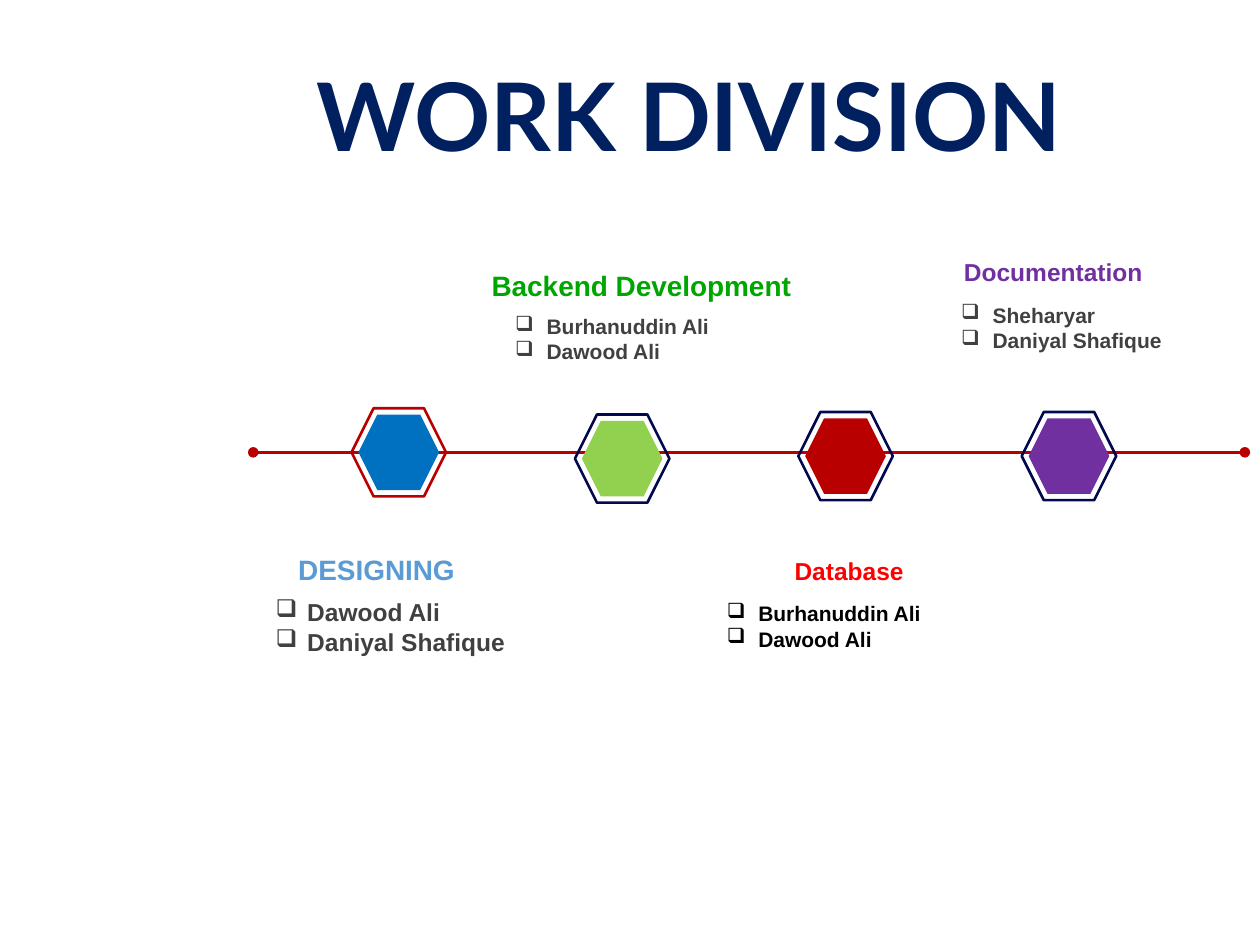
from lxml.etree import SubElement
from pptx import Presentation
from pptx.dml.color import RGBColor
from pptx.enum.shapes import MSO_CONNECTOR as Connector, MSO_SHAPE as Shape
from pptx.enum.text import MSO_ANCHOR as Anchor, PP_ALIGN as Align
from pptx.oxml.ns import qn
from pptx.util import Inches, Pt

COLUMNS, ROWS = 100, 75
WIDTH, HEIGHT = Inches(10), Inches(7.5)

NAVY = RGBColor(0x00, 0x20, 0x60)
MIDNIGHT = RGBColor(0x01, 0x0A, 0x4F)
CRIMSON = RGBColor(0xB9, 0x00, 0x00)
BLUE = RGBColor(0x00, 0x70, 0xC0)
LIGHT_BLUE = RGBColor(0x5A, 0x9B, 0xD5)
LIME = RGBColor(0x92, 0xD0, 0x50)
GREEN = RGBColor(0x00, 0xA6, 0x00)
RED = RGBColor(0xFF, 0x00, 0x00)
PURPLE = RGBColor(0x70, 0x30, 0xA0)
GREY = RGBColor(0x40, 0x40, 0x40)
BLACK = RGBColor(0x00, 0x00, 0x00)

FIRST_CENTER, CENTER_STEP = 31.65, 17.73
RING_SIZE, CORE_SIZE = (7.5, 7), (6.4, 6)

# Centre row, core colour, ring colour
MILESTONES = [
    (35.9, BLUE, CRIMSON),
    (36.4, LIME, MIDNIGHT),
    (36.2, CRIMSON, MIDNIGHT),
    (36.2, PURPLE, MIDNIGHT),
]

# Heading, its box, size and colour; members, their left and top, size and colour
TEAMS = [
    ("DESIGNING ", (19.4, 43.3, 21.6, 3.7), 16, LIGHT_BLUE,
     ["Dawood Ali", "Daniyal Shafique "], (20.9, 46.9), 14, GREY),
    ("Backend Development ", (37.9, 20.8, 26, 3.7), 16, GREEN,
     ["Burhanuddin Ali ", "Dawood Ali"], (39.9, 24.4), 12, GREY),
    ("Database", (56.6, 43.6, 21.6, 3.4), 14, RED,
     ["Burhanuddin Ali", "Dawood Ali"], (56.7, 47.2), 12, BLACK),
    ("Documentation", (72.8, 19.9, 21.6, 3.4), 14, PURPLE,
     ["Sheharyar ", "Daniyal Shafique"], (75.3, 23.5), 12, GREY),
]


def across(columns):
    """Turn grid columns into a length."""
    return round(WIDTH * columns / COLUMNS)


def down(rows):
    """Turn grid rows into a length."""
    return round(HEIGHT * rows / ROWS)


def place(left, top, width, height):
    """Turn a box on the grid into lengths."""
    return across(left), down(top), across(width), down(height)


def add_bullet(paragraph):
    """Give a paragraph a hanging box bullet."""
    properties = paragraph._p.get_or_add_pPr()
    properties.set("marL", str(Inches(0.25)))
    properties.set("indent", str(-Inches(0.25)))
    SubElement(properties, qn("a:buChar")).set("char", "\u2751")


def add_text(slide, lines, box, *, size, color, font="Arial", align=Align.LEFT,
             anchor=Anchor.TOP, bullets=False, line_spacing=None):
    """Add a bold text box with one paragraph per line."""
    frame = slide.shapes.add_textbox(*place(*box)).text_frame
    frame.word_wrap = True
    frame.vertical_anchor = anchor
    for index, line in enumerate(lines):
        paragraph = frame.add_paragraph() if index else frame.paragraphs[0]
        paragraph.alignment = align
        if line_spacing:
            paragraph.line_spacing = line_spacing
        if bullets:
            add_bullet(paragraph)
        run = paragraph.add_run()
        run.text = line
        run.font.name = font
        run.font.size = Pt(size)
        run.font.bold = True
        run.font.color.rgb = color


def add_timeline(slide, start, end, row):
    """Add the horizontal line with a dot at each end."""
    line = slide.shapes.add_connector(
        Connector.STRAIGHT, across(start), down(row), across(end), down(row))
    line.line.color.rgb = CRIMSON
    line.line.width = Pt(2)
    outline = line.line._get_or_add_ln()
    for tag in ("a:headEnd", "a:tailEnd"):
        SubElement(outline, qn(tag)).set("type", "oval")
    SubElement(line._element.spPr, qn("a:effectLst"))


def add_hexagon(group, center, size, *, fill=None, outline=None):
    """Add a hexagon around a centre, filled or outlined."""
    (column, row), (width, height) = center, size
    hexagon = group.shapes.add_shape(
        Shape.HEXAGON, *place(column - width / 2, row - height / 2, width, height))
    hexagon.shadow.inherit = False
    if fill is None:
        hexagon.fill.background()
    else:
        hexagon.fill.solid()
        hexagon.fill.fore_color.rgb = fill
    if outline is None:
        hexagon.line.fill.background()
    else:
        hexagon.line.color.rgb = outline
        hexagon.line.width = Pt(1.5)


def add_milestone(slide, center, core_color, ring_color):
    """Add a filled hexagon grouped with its ring."""
    group = slide.shapes.add_group_shape()
    add_hexagon(group, center, CORE_SIZE, fill=core_color)
    add_hexagon(group, center, RING_SIZE, outline=ring_color)


def add_team(slide, heading, heading_box, heading_size, heading_color,
             members, corner, member_size, member_color):
    """Add a team's heading and its bulleted members."""
    add_text(slide, [heading], heading_box, size=heading_size,
             color=heading_color, align=Align.CENTER, anchor=Anchor.MIDDLE)
    add_text(slide, members, (*corner, 21.6, 5), size=member_size,
             color=member_color, bullets=True)


def main():
    """Build the slide and save it."""
    presentation = Presentation()
    presentation.slide_width, presentation.slide_height = WIDTH, HEIGHT
    slide = presentation.slides.add_slide(presentation.slide_layouts[6])
    add_timeline(slide, 20.1, 98.8, 35.9)
    for index, (row, core_color, ring_color) in enumerate(MILESTONES):
        center = FIRST_CENTER + index * CENTER_STEP, row
        add_milestone(slide, center, core_color, ring_color)
    add_text(slide, ["WORK DIVISION "], (-5.1, 6, 121.4, 7.2), size=54, color=NAVY,
             font="Lato", align=Align.CENTER, anchor=Anchor.MIDDLE, line_spacing=0.9)
    for team in TEAMS:
        add_team(slide, *team)
    presentation.save("out.pptx")


main()
